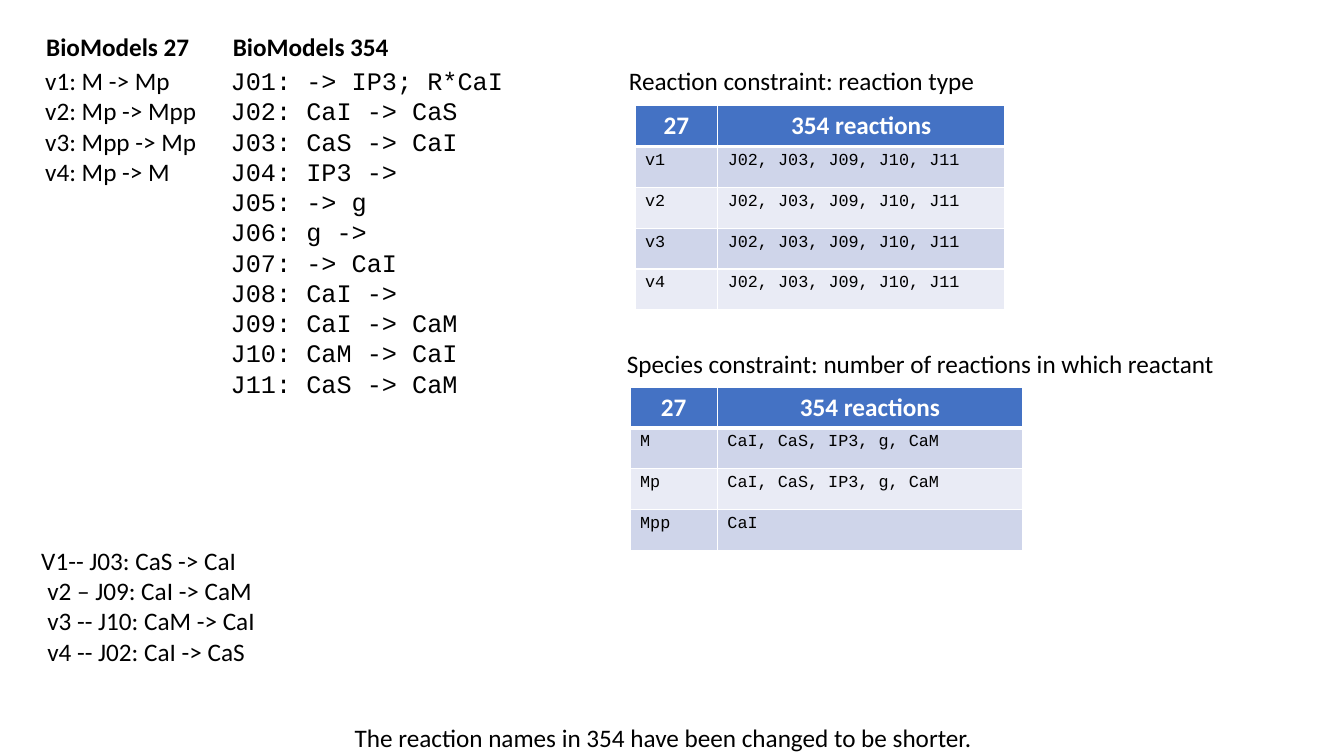
import pptx
import pptx.dml.color
import pptx.enum.text
import pptx.oxml
import pptx.oxml.ns
import pptx.util

COLORS = {"text": "000000", "white": "FFFFFF", "header": "4472C4",
          "odd": "CFD5EA", "even": "E9EBF5"}
BODY = {"name": "Calibri", "size": pptx.util.Pt(18), "bold": False}
HEADING = {**BODY, "bold": True}
CODE = {**BODY, "name": "Courier New"}
CELL = {**CODE, "size": pptx.util.Pt(12)}
SLIDE_W = pptx.util.Inches(13.33)
SLIDE_H = pptx.util.Inches(7.5)
LINE_H = 4
BOX_PADDING = 1.33
ROW_H = 5.4

MODEL_27 = ["v1: M -> Mp", "v2: Mp -> Mpp", "v3: Mpp -> Mp", "v4: Mp -> M"]
MODEL_354 = ["J01: -> IP3; R*CaI", "J02: CaI -> CaS", "J03: CaS -> CaI",
             "J04: IP3 ->", "J05: -> g", "J06: g ->", "J07: -> CaI",
             "J08: CaI ->", "J09: CaI -> CaM", "J10: CaM -> CaI",
             "J11: CaS -> CaM"]
MATCHES = ["V1-- J03: CaS -> CaI", "v2 – J09: CaI -> CaM",
           "v3 -- J10: CaM -> CaI", "v4 -- J02: CaI -> CaS"]
TABLE_HEAD = ("27", "354 reactions")
REACTION_ROWS = [(v, "J02, J03, J09, J10, J11") for v in ("v1", "v2", "v3", "v4")]
SPECIES_ROWS = [("M", "CaI, CaS, IP3, g, CaM"),
                ("Mp", "CaI, CaS, IP3, g, CaM"), ("Mpp", "CaI")]


def across(percent):
    return round(SLIDE_W * percent / 100)


def down(percent):
    return round(SLIDE_H * percent / 100)


def rgb(name):
    return pptx.dml.color.RGBColor.from_string(COLORS[name])


def style_font(font, values, color):
    for key, value in values.items():
        setattr(font, key, value)
    font.color.rgb = rgb(color)


def add_text(s, x, y, w, lines, values=BODY, wrap=False, later_indent=0):
    height = LINE_H * len(lines) + BOX_PADDING
    tf = s.shapes.add_textbox(across(x), down(y), across(w), down(height)).text_frame
    tf.word_wrap = wrap
    tf.auto_size = pptx.enum.text.MSO_AUTO_SIZE.SHAPE_TO_FIT_TEXT
    for i, line in enumerate(lines):
        p = tf.add_paragraph() if i else tf.paragraphs[0]
        if i and later_indent:
            p._p.get_or_add_pPr().set("marL", str(pptx.util.Inches(later_indent)))
        r = p.add_run()
        r.text = line
        style_font(r.font, values, "text")


def add_borders(cell, is_head):
    tcPr = cell._tc.get_or_add_tcPr()
    for side in "LRTB":
        width = pptx.util.Pt(3 if is_head and side == "B" else 1)
        tcPr.append(pptx.oxml.parse_xml(
            f'<a:ln{side} {pptx.oxml.ns.nsdecls("a")} w="{width}"><a:solidFill>'
            f'<a:srgbClr val="{COLORS["white"]}"/></a:solidFill></a:ln{side}>'))


def add_match_table(s, x, y, widths, body):
    rows = [TABLE_HEAD, *body]
    table = s.shapes.add_table(len(rows), len(widths), across(x), down(y),
                               across(sum(widths)), down(ROW_H * len(rows))).table
    for column, width in zip(table.columns, widths):
        column.width = across(width)
    for i, texts in enumerate(rows):
        table.rows[i].height = down(ROW_H)
        fill = "header" if i == 0 else "odd" if i % 2 else "even"
        for j, text in enumerate(texts):
            cell = table.cell(i, j)
            add_borders(cell, i == 0)
            cell.fill.solid()
            cell.fill.fore_color.rgb = rgb(fill)
            p = cell.text_frame.paragraphs[0]
            r = p.add_run()
            r.text = text
            if i == 0:
                p.alignment = pptx.enum.text.PP_ALIGN.CENTER
                style_font(r.font, HEADING, "white")
            else:
                style_font(r.font, CELL, "text")


def main():
    prs = pptx.Presentation()
    prs.slide_width, prs.slide_height = SLIDE_W, SLIDE_H
    s = prs.slides.add_slide(prs.slide_layouts[6])
    add_text(s, 2.33, 71.47, 19.2, MATCHES, wrap=True, later_indent=0.06)
    add_text(s, 16.43, 8, 22.65, MODEL_354, CODE, wrap=True)
    add_text(s, 16.58, 3.47, 13.2, ["BioModels 354"], HEADING)
    add_text(s, 2.63, 8, 12.9, MODEL_27)
    add_text(s, 2.7, 3.47, 12.23, ["BioModels 27"], HEADING)
    add_text(s, 25.65, 94.93, 47.7,
             ["The reaction names in 354 have been changed to be shorter."])
    add_text(s, 46.05, 8, 27.53, ["Reaction constraint: reaction type"])
    add_match_table(s, 47.25, 14, (6.15, 21.38), REACTION_ROWS)
    add_text(s, 45.9, 45.47, 45.75,
             ["Species constraint: number of reactions in which reactant"])
    add_match_table(s, 46.88, 51.2, (6.5, 22.7), SPECIES_ROWS)
    prs.save("out.pptx")


if __name__ == "__main__":
    main()
